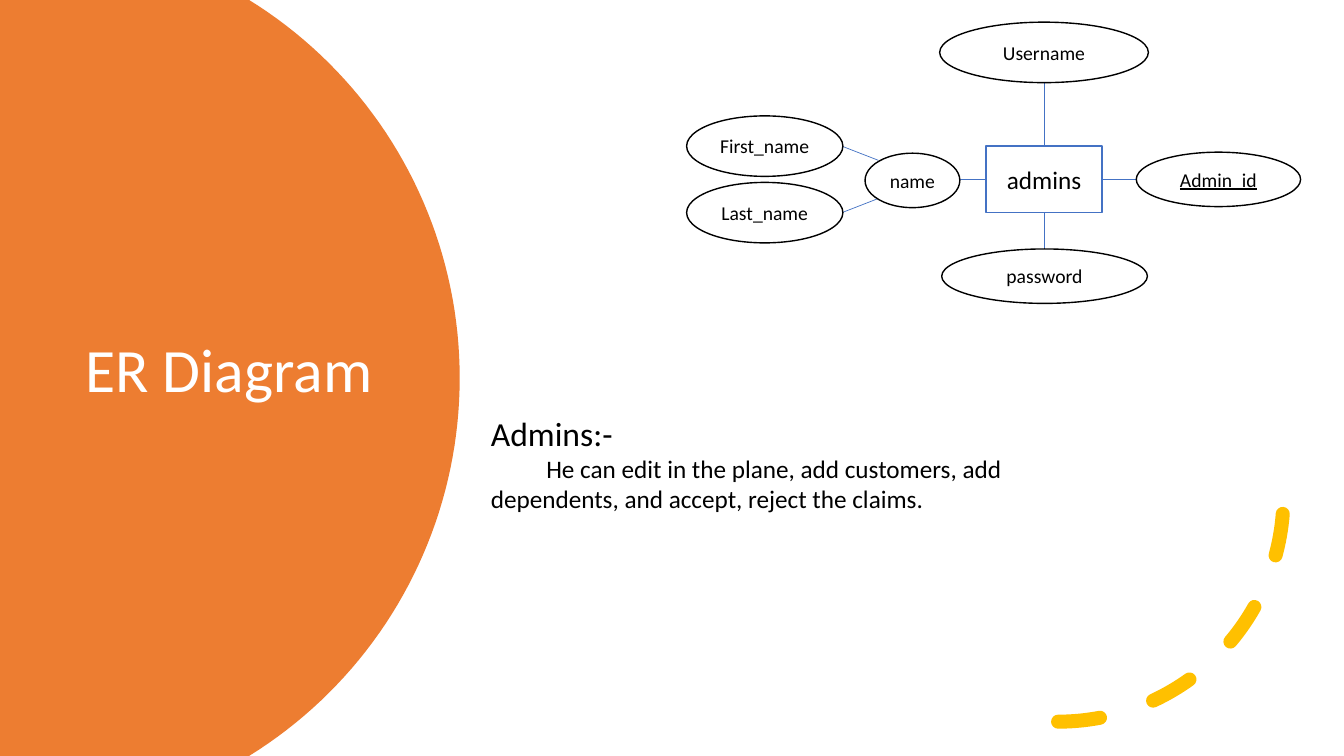
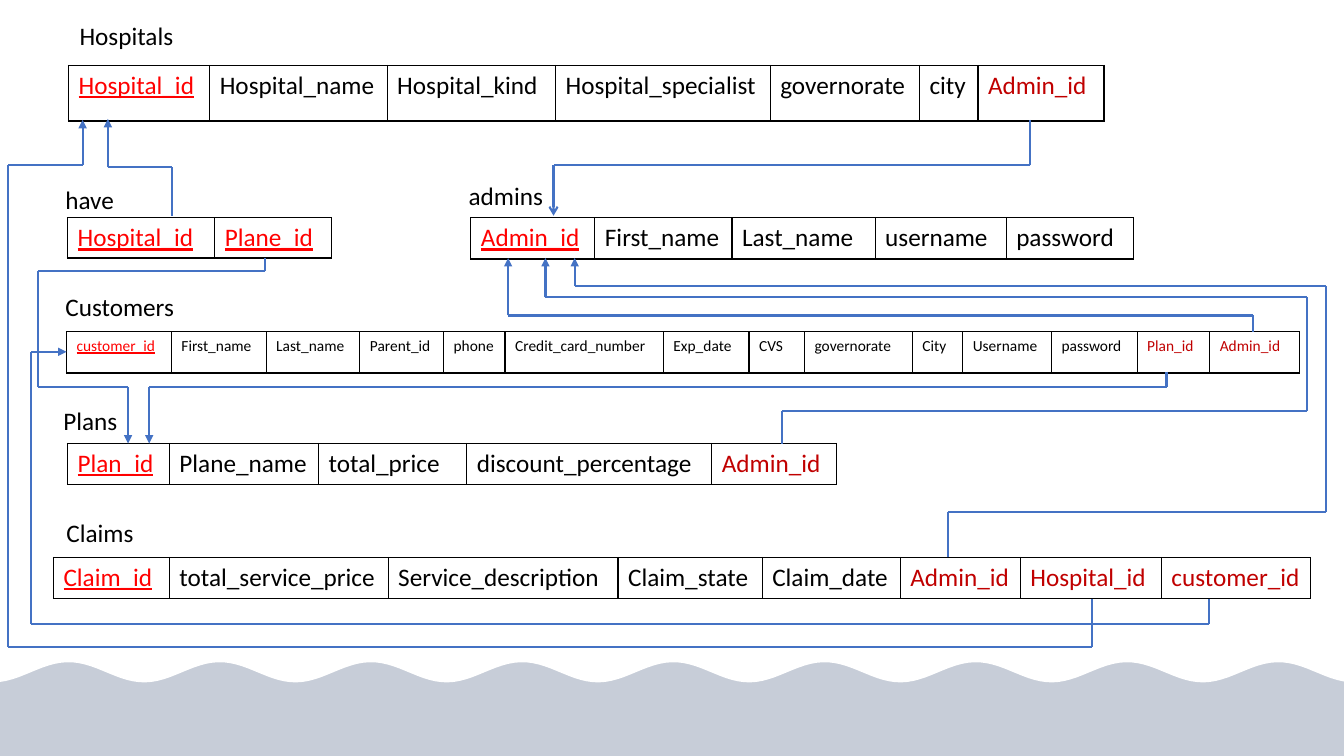
from math import asin, cos, pi, sin
from typing import NamedTuple

from lxml.etree import SubElement
from pptx import Presentation
from pptx.dml.color import RGBColor
from pptx.enum.dml import MSO_LINE
from pptx.enum.shapes import MSO_CONNECTOR, MSO_SHAPE
from pptx.enum.text import MSO_ANCHOR, PP_ALIGN
from pptx.oxml.ns import qn
from pptx.util import Emu, Pt

EMU_PER_PX = 9144  # 100 px to the inch
WIDTH, HEIGHT = 1333, 750
FONT = "Calibri"

WHITE = RGBColor(0xFF, 0xFF, 0xFF)
BLACK = RGBColor(0x00, 0x00, 0x00)
ORANGE = RGBColor(0xED, 0x7D, 0x31)
GOLD = RGBColor(0xFF, 0xC0, 0x00)
BLUE = RGBColor(0x44, 0x72, 0xC4)
NAVY = RGBColor(0x20, 0x38, 0x64)
PRIMARY_RED = RGBColor(0xFF, 0x00, 0x00)
FOREIGN_RED = RGBColor(0xC0, 0x00, 0x00)


class Relation(NamedTuple):
    """One table of the schema; its last `foreign` columns are foreign keys."""
    name: str
    label_at: tuple
    label_width: int
    at: tuple
    height: int
    columns: dict
    primary: int = 1
    foreign: int = 0
    size: int = 18


RELATIONS = [
    Relation("Hospitals", (69, 15), 119, (68, 65), 55,
             {"Hospital_id": 140, "Hospital_name": 176, "Hospital_kind": 167,
              "Hospital_specialist": 213, "governorate": 148, "city": 58,
              "Admin_id": 125}, foreign=1),
    Relation("have", (55, 178), 73, (67, 216), 40,
             {"Hospital_id": 146, "Plane_id": 116}, primary=2),
    Relation("admins", (455, 174), 94, (467, 216), 41,
             {"Admin_id": 123, "First_name": 136, "Last_name": 142,
              "username": 130, "password": 126}),
    Relation("Customers", (55, 284), 141, (66, 329), 41,
             {"customer_id": 104, "First_name": 94, "Last_name": 93,
              "Parent_id": 83, "phone": 61, "Credit_card_number": 157,
              "Exp_date": 85, "CVS": 55, "governorate": 107, "City": 50,
              "Username": 88, "password": 85, "Plan_id": 72, "Admin_id": 89},
             foreign=2, size=11),
    Relation("Plans", (53, 397), 74, (67, 440), 41,
             {"Plan_id": 101, "Plane_name": 148, "total_price": 147,
              "discount_percentage": 243, "Admin_id": 124}, foreign=1),
    Relation("Claims", (56, 508), 92, (53, 553), 41,
             {"Claim_id": 115, "total_service_price": 217,
              "Service_description": 228, "Claim_state": 143,
              "Claim_date": 137, "Admin_id": 119, "Hospital_id": 140,
              "customer_id": 148}, foreign=3),
]

# Each route runs from a foreign key to the primary key it refers to.
ROUTES = [
    ("triangle", [(171, 214), (171, 166), (107, 166), (107, 118)]),
    ("triangle", [(263, 256), (263, 269), (38, 269), (38, 384), (127, 384),
                  (127, 440)]),
    ("arrow", [(1022, 119), (1022, 164), (549, 164), (549, 214)]),
    ("triangle", [(776, 440), (776, 408), (1296, 408), (1296, 295),
                  (541, 295), (541, 256)]),
    ("triangle", [(1243, 329), (1243, 313), (504, 313), (504, 256)]),
    ("triangle", [(940, 553), (940, 508), (1315, 508), (1315, 284),
                  (570, 284), (570, 256)]),
    ("triangle", [(1157, 369), (1157, 384), (148, 384), (148, 440)]),
    ("triangle", [(1083, 594), (1083, 642), (8, 642), (8, 164), (82, 164),
                  (82, 119)]),
    ("triangle", [(1199, 594), (1199, 619), (31, 619), (31, 349), (66, 349)]),
]

# Parts of the entity diagram, relative to its top left corner.
ATTRIBUTES = [
    ("Username", (251, 0, 207, 60)),
    ("First_name", (0, 93, 155, 60)),
    ("Last_name", (0, 159, 155, 60)),
    ("name", (177, 130, 94, 54)),
    ("Admin_id", (446, 129, 163, 54)),
    ("password", (253, 225, 204, 54)),
]
LINKS = [
    ((355, 59), (355, 123)), ((355, 189), (355, 225)),
    ((412, 156), (446, 156)), ((271, 156), (297, 156)),
    ((154, 123), (190, 137)), ((154, 189), (190, 175)),
]


def px(*lengths):
    return [Emu(round(length * EMU_PER_PX)) for length in lengths]


def style(paragraph, text, size, color=BLACK, underline=None):
    paragraph.text = text
    font = paragraph.font
    font.name, font.size, font.underline = FONT, Pt(size), underline
    font.color.rgb = color


def add_text(slide, box, text, size, color=BLACK):
    frame = slide.shapes.add_textbox(*px(*box)).text_frame
    style(frame.paragraphs[0], text, size, color)
    return frame


def add_shape(slide, kind, box, fill=None, line=None, weight=1):
    shape = slide.shapes.add_shape(kind, *px(*box))
    paint(shape, fill, line, weight)
    return shape


def paint(shape, fill, line=None, weight=1):
    shape.shadow.inherit = False
    if fill is None:
        shape.fill.background()
    else:
        shape.fill.solid()
        shape.fill.fore_color.rgb = fill
    if line is None:
        shape.line.fill.background()
    else:
        shape.line.color.rgb = line
        shape.line.width = Pt(weight)


def add_outline(slide, points, fill):
    start, *others = [px(*point) for point in points]
    builder = slide.shapes.build_freeform(*start)
    builder.add_line_segments(others, close=True)
    paint(builder.convert_to_shape(), fill)


def add_line(slide, start, end, weight, head=None):
    connector = slide.shapes.add_connector(
        MSO_CONNECTOR.STRAIGHT, *px(*start, *end))
    connector.line.color.rgb = BLUE
    connector.line.width = Pt(weight)
    if head:
        SubElement(connector.line._get_or_add_ln(), qn("a:tailEnd"), type=head)
    SubElement(connector._element.spPr, qn("a:effectLst"))


def add_route(slide, points, head):
    last = len(points) - 2
    for index, (start, end) in enumerate(zip(points, points[1:])):
        add_line(slide, start, end, 1.5, head if index == last else None)


def add_node(slide, kind, box, text, size, line, underline=None):
    shape = add_shape(slide, kind, box, WHITE, line)
    frame = shape.text_frame
    frame.margin_left = frame.margin_right = 0
    frame.vertical_anchor = MSO_ANCHOR.MIDDLE
    paragraph = frame.paragraphs[0]
    paragraph.alignment = PP_ALIGN.CENTER
    style(paragraph, text, size, BLACK, underline)


def add_title_disc(slide, center_x, radius):
    """Disc that bleeds off the left, top and bottom edges, with the title."""
    middle = HEIGHT / 2
    limit = asin(middle / radius)
    steps = 80
    angles = [limit * (2 * step / steps - 1) for step in range(steps + 1)]
    rim = [(center_x + radius * cos(angle), middle + radius * sin(angle))
           for angle in angles]
    add_outline(slide, [(0, 0), *rim, (0, HEIGHT)], ORANGE)
    frame = add_text(slide, (75, 126, 350, 488), "ER Diagram", 44, WHITE)
    frame.word_wrap = True
    frame.vertical_anchor = MSO_ANCHOR.MIDDLE
    frame.paragraphs[0].line_spacing = 0.9


def add_dashed_arc(slide, box):
    arc = add_shape(slide, MSO_SHAPE.ARC, box, None, GOLD, 10)
    arc.line.dash_style = MSO_LINE.DASH
    arc.line._get_or_add_ln().set("cap", "rnd")
    arc._element.spPr.xfrm.set("flipV", "1")


def add_entity_diagram(slide, left, top):
    def place(x, y, *size):
        return (left + x, top + y, *size)

    for start, end in LINKS:
        add_line(slide, place(*start), place(*end), 0.5)
    add_node(slide, MSO_SHAPE.RECTANGLE, place(297, 123, 115, 66),
             "admins", 18, BLUE)
    for name, box in ATTRIBUTES:
        add_node(slide, MSO_SHAPE.OVAL, place(*box), name, 14, BLACK,
                 underline=name == "Admin_id")


def add_role_text(slide, box):
    frame = add_text(slide, box, "Admins:-", 24)
    frame.word_wrap = True
    frame.margin_right, indent = px(60, 55)
    paragraph = frame.add_paragraph()
    style(paragraph, "He can edit in the plane, add customers, add "
          "dependents, and accept, reject the claims.", 18)
    paragraph._p.get_or_add_pPr().set("indent", str(indent))


def add_waves(slide, level, height, period, crest):
    """Tinted backdrop under a white sheet whose lower edge is a wave."""
    backdrop = add_shape(slide, MSO_SHAPE.RECTANGLE, (0, 0, WIDTH, HEIGHT), NAVY)
    tint = backdrop._element.spPr.find(qn("a:solidFill"))[0]
    SubElement(tint, qn("a:alpha"), val="25000")
    edge = [(x, level - height * cos(2 * pi * (x - crest) / period))
            for x in (*range(0, WIDTH, 6), WIDTH)]
    add_outline(slide, [(0, 0), *edge, (WIDTH, 0)], WHITE)


def add_borders(cell):
    properties = cell._tc.get_or_add_tcPr()
    for side in ("a:lnL", "a:lnR", "a:lnT", "a:lnB"):
        line = SubElement(properties, qn(side), w=str(Pt(1)))
        fill = SubElement(line, qn("a:solidFill"))
        SubElement(fill, qn("a:srgbClr"), val=str(BLACK))


def add_relation(slide, relation):
    add_text(slide, (*relation.label_at, relation.label_width, 40),
             relation.name, 18)
    columns = relation.columns
    count = len(columns)
    table = slide.shapes.add_table(1, count, *px(
        *relation.at, sum(columns.values()), relation.height)).table
    table.first_row = table.horz_banding = False
    for index, (name, width) in enumerate(columns.items()):
        table.columns[index].width = px(width)[0]
        cell = table.cell(0, index)
        add_borders(cell)
        cell.fill.background()
        is_primary = index < relation.primary
        if is_primary:
            color = PRIMARY_RED
        else:
            color = FOREIGN_RED if index >= count - relation.foreign else BLACK
        style(cell.text_frame.paragraphs[0], name, relation.size, color,
              is_primary)


def build_entity_slide(slide):
    add_title_disc(slide, center_x=15, radius=441)
    add_dashed_arc(slide, (826, 269, 447, 447))
    add_entity_diagram(slide, 681, 22)
    add_role_text(slide, (477, 405, 676, 141))


def build_schema_slide(slide):
    add_waves(slide, level=667, height=10, period=150, crest=68)
    for relation in RELATIONS:
        add_relation(slide, relation)
    for head, points in ROUTES:
        add_route(slide, points, head)


def main():
    presentation = Presentation()
    presentation.slide_width, presentation.slide_height = px(WIDTH, HEIGHT)
    blank = presentation.slide_layouts[6]
    for build in (build_entity_slide, build_schema_slide):
        build(presentation.slides.add_slide(blank))
    presentation.save("out.pptx")


if __name__ == "__main__":
    main()
